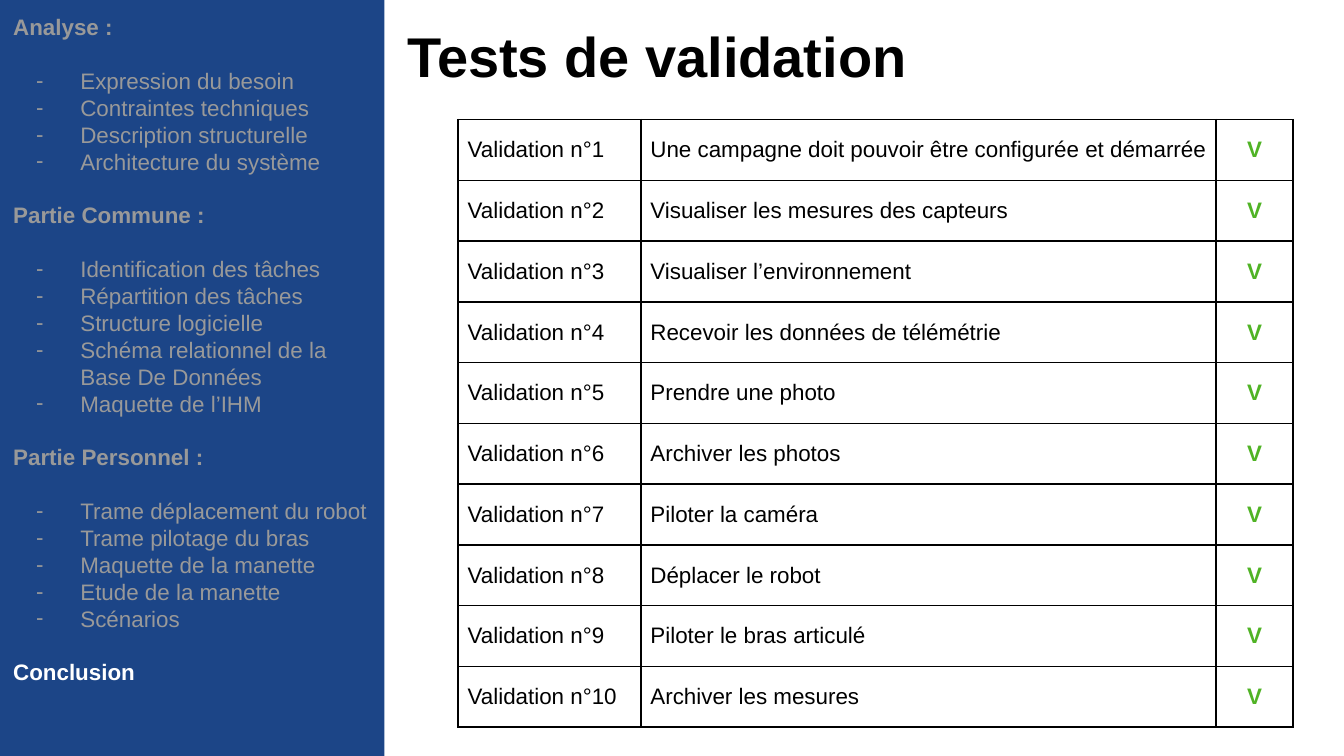
import pptx
import pptx.dml.color
import pptx.enum.shapes
import pptx.enum.text
import pptx.oxml
import pptx.oxml.ns
import pptx.util
from pptx.util import Inches

RGBColor = pptx.dml.color.RGBColor
NAVY = RGBColor(0x1C, 0x45, 0x87)
GRAY = RGBColor(0x99, 0x99, 0x99)
GREEN = RGBColor(0x50, 0xB3, 0x25)
BLACK = RGBColor(0, 0, 0)
WHITE = RGBColor(255, 255, 255)
ALIGN = pptx.enum.text.PP_ALIGN
ANCHOR = pptx.enum.text.MSO_ANCHOR
GAP = pptx.util.Pt(14.4)

MENU = [
    ("Analyse :", [
        "Expression du besoin",
        "Contraintes techniques",
        "Description structurelle",
        "Architecture du système",
    ]),
    ("Partie Commune :", [
        "Identification des tâches",
        "Répartition des tâches",
        "Structure logicielle",
        "Schéma relationnel de la Base De Données",
        "Maquette de l’IHM",
    ]),
    ("Partie Personnel :", [
        "Trame déplacement du robot",
        "Trame pilotage du bras",
        "Maquette de la manette",
        "Etude de la manette",
        "Scénarios",
    ]),
    ("Conclusion", []),
]

TESTS = [
    "Une campagne doit pouvoir être configurée et démarrée",
    "Visualiser les mesures des capteurs",
    "Visualiser l’environnement",
    "Recevoir les données de télémétrie",
    "Prendre une photo",
    "Archiver les photos",
    "Piloter la caméra",
    "Déplacer le robot",
    "Piloter le bras articulé",
    "Archiver les mesures",
]


def write(para, text, size, color, bold=False, align=ALIGN.LEFT):
    para.text = text
    para.alignment = align
    for run in para.runs:
        run.font.name = "Arial"
        run.font.size = pptx.util.Pt(size)
        run.font.bold = bold
        run.font.color.rgb = color


def pad(frame, inset):
    frame.word_wrap = True
    frame.margin_left = frame.margin_right = inset
    frame.margin_top = frame.margin_bottom = inset


def add_xml(parent, body):
    root = pptx.oxml.parse_xml(f'<a:x {pptx.oxml.ns.nsdecls("a")}>{body}</a:x>')
    for node in list(root):
        parent.append(node)


def add_dash(para):
    props = para._p.get_or_add_pPr()
    props.set("marL", str(Inches(0.5)))
    props.set("indent", str(Inches(-0.33)))
    add_xml(props, f'<a:buClr><a:srgbClr val="{GRAY}"/></a:buClr>'
                   '<a:buFont typeface="Arial"/><a:buChar char="-"/>')


def add_title(slide, left, top, width, height):
    frame = slide.shapes.add_textbox(left, top, width, height).text_frame
    pad(frame, Inches(0.1))
    write(frame.paragraphs[0], "Tests de validation", 30, BLACK, True)


def add_edges(cell):
    props = cell._tc.get_or_add_tcPr()
    fill = props[0]
    for side in ("lnL", "lnR", "lnT", "lnB"):
        add_xml(props, f'<a:{side} w="12700"><a:solidFill><a:srgbClr val="{BLACK}"/>'
                       f'</a:solidFill></a:{side}>')
    props.append(fill)


def add_tests(slide, left, top, width, height):
    shape = slide.shapes.add_table(len(TESTS), 3, left, top, width, height)
    table = shape.table
    for col, size in zip(table.columns, (1.36, 4.28, 0.57)):
        col.width = Inches(size)
    for num, test in enumerate(TESTS):
        table.rows[num].height = height // len(TESTS)
        cells = table.rows[num].cells
        for cell in cells:
            cell.fill.solid()
            cell.fill.fore_color.rgb = WHITE
            add_edges(cell)
            cell.vertical_anchor = ANCHOR.MIDDLE
            cell.margin_left = cell.margin_right = Inches(0.07)
            cell.margin_top = cell.margin_bottom = Inches(0.07)
        cells[1].margin_right = Inches(0.05)
        label, detail, mark = (cell.text_frame.paragraphs[0] for cell in cells)
        write(label, f"Validation n°{num + 1}", 12, BLACK)
        write(detail, test, 12, BLACK)
        write(mark, "V", 12, GREEN, True, ALIGN.CENTER)


def add_menu(slide, left, top, width, height):
    kind = pptx.enum.shapes.MSO_SHAPE.RECTANGLE
    panel = slide.shapes.add_shape(kind, left, top, width, height)
    panel.shadow.inherit = False
    panel.fill.solid()
    panel.fill.fore_color.rgb = NAVY
    panel.line.fill.background()
    frame = panel.text_frame
    pad(frame, Inches(0.1))
    frame.vertical_anchor = ANCHOR.TOP
    for num, (head, items) in enumerate(MENU):
        para = frame.add_paragraph() if num else frame.paragraphs[0]
        write(para, head, 12, GRAY if items else WHITE, True)
        if num:
            para.space_before = GAP
        if items:
            para.space_after = GAP
        for item in items:
            para = frame.add_paragraph()
            add_dash(para)
            write(para, item, 12, GRAY)


def main():
    deck = pptx.Presentation()
    deck.slide_width = Inches(10)
    deck.slide_height = deck.slide_width * 9 // 16
    slide = deck.slides.add_slide(deck.slide_layouts[6])
    add_title(slide, Inches(2.93), Inches(0.06), Inches(6.95), Inches(0.64))
    add_tests(slide, Inches(3.41), Inches(0.89), Inches(6.21), Inches(4.52))
    add_menu(slide, 0, 0, Inches(2.86), deck.slide_height)
    deck.save("out.pptx")


if __name__ == "__main__":
    main()
